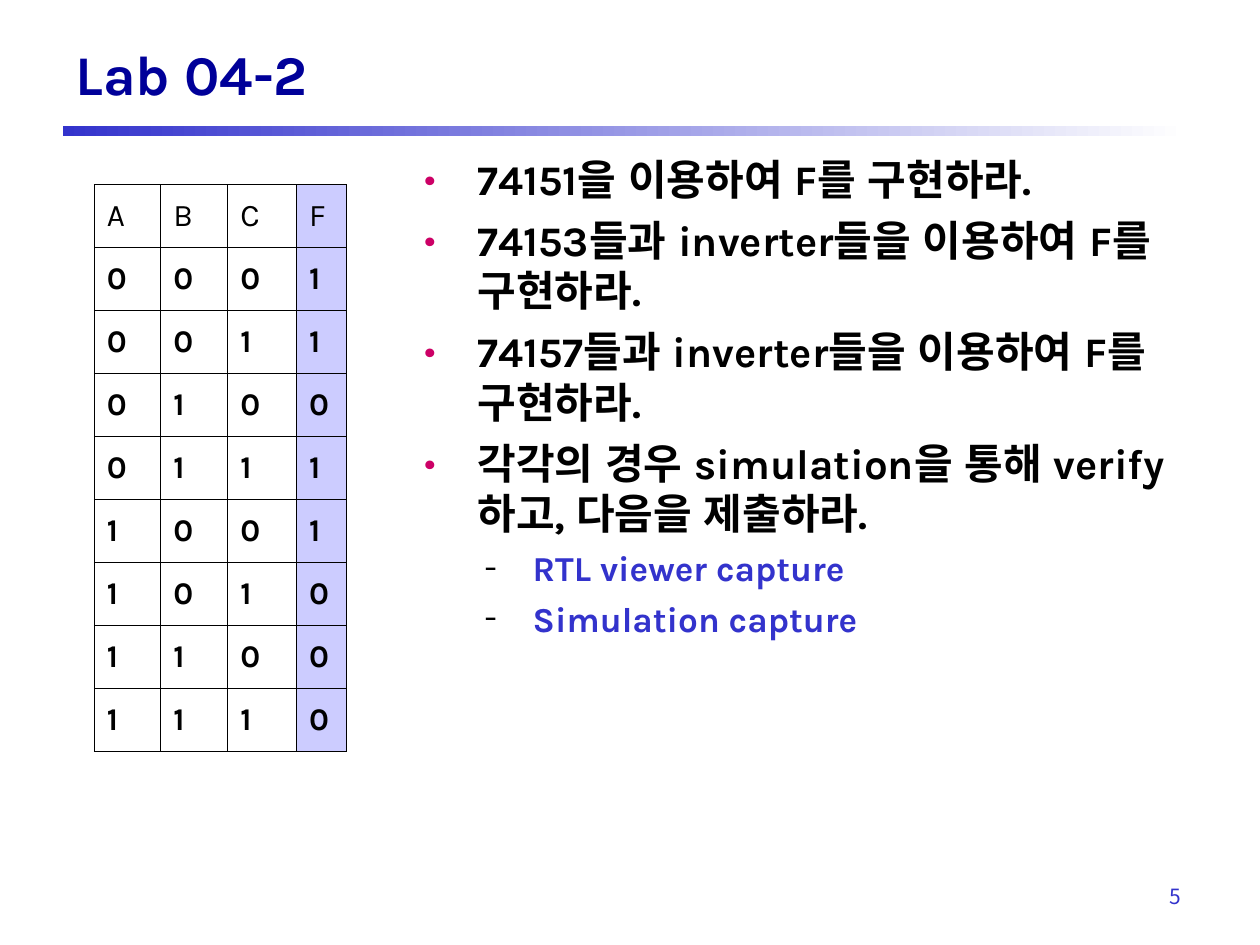
from itertools import product

from lxml.etree import SubElement
from pptx import Presentation
from pptx.dml.color import RGBColor
from pptx.enum.lang import MSO_LANGUAGE_ID as Language
from pptx.enum.shapes import MSO_SHAPE as Shape
from pptx.enum.text import MSO_ANCHOR as Anchor, PP_ALIGN as Align
from pptx.oxml.ns import qn
from pptx.util import Cm, Pt

LATIN = "Karla"
KOREAN = "Noto Sans CJK KR"
BLACK, WHITE = "000000", "FFFFFF"
NAVY, BLUE, LILAC, PINK = "000099", "3333CC", "CCCCFF", "CC0066"


def color(value):
    return RGBColor.from_string(value)


class SlideBuilder:
    def __init__(self, page):
        self.page = page

    def style(self, para, size, tint, bold=True, name=LATIN):
        for span in para.runs:
            font = span.font
            font.name = name
            font.size = Pt(size)
            font.bold = bold
            font.color.rgb = color(tint)
            font.language_id = Language.KOREAN
            SubElement(span._r.get_or_add_rPr(), qn("a:ea"), typeface=KOREAN)

    def gradient_bar(self, left, top, width, height, start, end):
        bar = self.page.shapes.add_shape(
            Shape.RECTANGLE, Cm(left), Cm(top), Cm(width), Cm(height))
        bar.shadow.inherit = False
        bar.line.fill.background()
        bar.fill.gradient()
        bar.fill.gradient_angle = 0
        for stop, tint in zip(bar.fill.gradient_stops, (start, end)):
            stop.color.rgb = color(tint)

    def text_box(self, left, top, width, height, anchor=Anchor.TOP):
        box = self.page.shapes.add_textbox(Cm(left), Cm(top), Cm(width), Cm(height))
        frame = box.text_frame
        frame.word_wrap = True
        frame.vertical_anchor = anchor
        return frame

    def title(self, text):
        frame = self.text_box(1.27, 0.84, 22.66, 1.27, Anchor.MIDDLE)
        frame.text = text
        self.style(frame.paragraphs[0], 32, NAVY)

    def page_number(self, text):
        frame = self.text_box(1.27, 17.58, 22.8, 0.94)
        frame.text = text
        para = frame.paragraphs[0]
        para.alignment = Align.RIGHT
        para.line_spacing = 1.2
        self.style(para, 12, BLUE, bold=False, name=KOREAN)

    def bullet(self, para, symbol, tint, margin, hanging):
        props = para._p.get_or_add_pPr()
        props.set("marL", str(Cm(margin)))
        props.set("indent", str(-Cm(hanging)))
        holder = SubElement(props, qn("a:buClr"))
        SubElement(holder, qn("a:srgbClr"), val=tint)
        SubElement(props, qn("a:buFont"), typeface=LATIN)
        SubElement(props, qn("a:buChar"), char=symbol)

    def tasks(self, items):
        frame = self.text_box(8.31, 2.97, 15.62, 14.6)
        frame.text = "\n".join(text for level, text in items)
        for index, (para, (level, text)) in enumerate(zip(frame.paragraphs, items)):
            para.level = level
            if level:
                self.bullet(para, "-", BLACK, 2.18, 0.97)
                self.style(para, 20, BLUE)
            else:
                self.bullet(para, "•", PINK, 1.07, 1.07)
                self.style(para, 24, BLACK)
            if index:
                para.space_before = Pt(5 if level else 6)

    def borders(self, cell):
        props = cell._tc.get_or_add_tcPr()
        for side in ("lnL", "lnR", "lnT", "lnB"):
            line = SubElement(props, qn(f"a:{side}"), w=str(Pt(0.45)))
            fill = SubElement(line, qn("a:solidFill"))
            SubElement(fill, qn("a:srgbClr"), val=BLACK)

    def truth_table(self, rows, left, top, widths, row_height):
        table = self.page.shapes.add_table(
            len(rows), len(widths), Cm(left), Cm(top),
            Cm(sum(widths)), Cm(row_height * len(rows))).table
        table.first_row = table.horz_banding = False
        for column, width in zip(table.columns, widths):
            column.width = Cm(width)
        for row_index, values in enumerate(rows):
            table.rows[row_index].height = Cm(row_height)
            for column_index, value in enumerate(values):
                cell = table.cell(row_index, column_index)
                cell.text = str(value)
                cell.vertical_anchor = Anchor.MIDDLE
                self.borders(cell)
                if column_index == len(widths) - 1:
                    cell.fill.solid()
                    cell.fill.fore_color.rgb = color(LILAC)
                else:
                    cell.fill.background()
                self.style(cell.text_frame.paragraphs[0], 18, BLACK, bold=row_index > 0)


def main():
    deck = Presentation()
    deck.slide_width, deck.slide_height = Cm(25.4), Cm(19.05)
    builder = SlideBuilder(deck.slides.add_slide(deck.slide_layouts[6]))

    builder.gradient_bar(1.27, 2.54, 22.66, 0.2, BLUE, WHITE)
    builder.page_number("5")
    builder.title("Lab 04-2")
    builder.tasks([
        (0, "74151을 이용하여 F를 구현하라."),
        (0, "74153들과 inverter들을 이용하여 F를 구현하라."),
        (0, "74157들과 inverter들을 이용하여 F를 구현하라."),
        (0, "각각의 경우 simulation을 통해 verify하고, 다음을 제출하라."),
        (1, "RTL viewer capture"),
        (1, "Simulation capture"),
    ])

    outputs = (1, 1, 0, 1, 1, 0, 0, 0)
    inputs = product((0, 1), repeat=3)
    rows = ["ABCF"] + [(*bits, output) for bits, output in zip(inputs, outputs)]
    builder.truth_table(rows, 1.9, 3.72, (1.34, 1.35, 1.39, 1.01), 1.27)

    deck.save("out.pptx")


if __name__ == "__main__":
    main()
